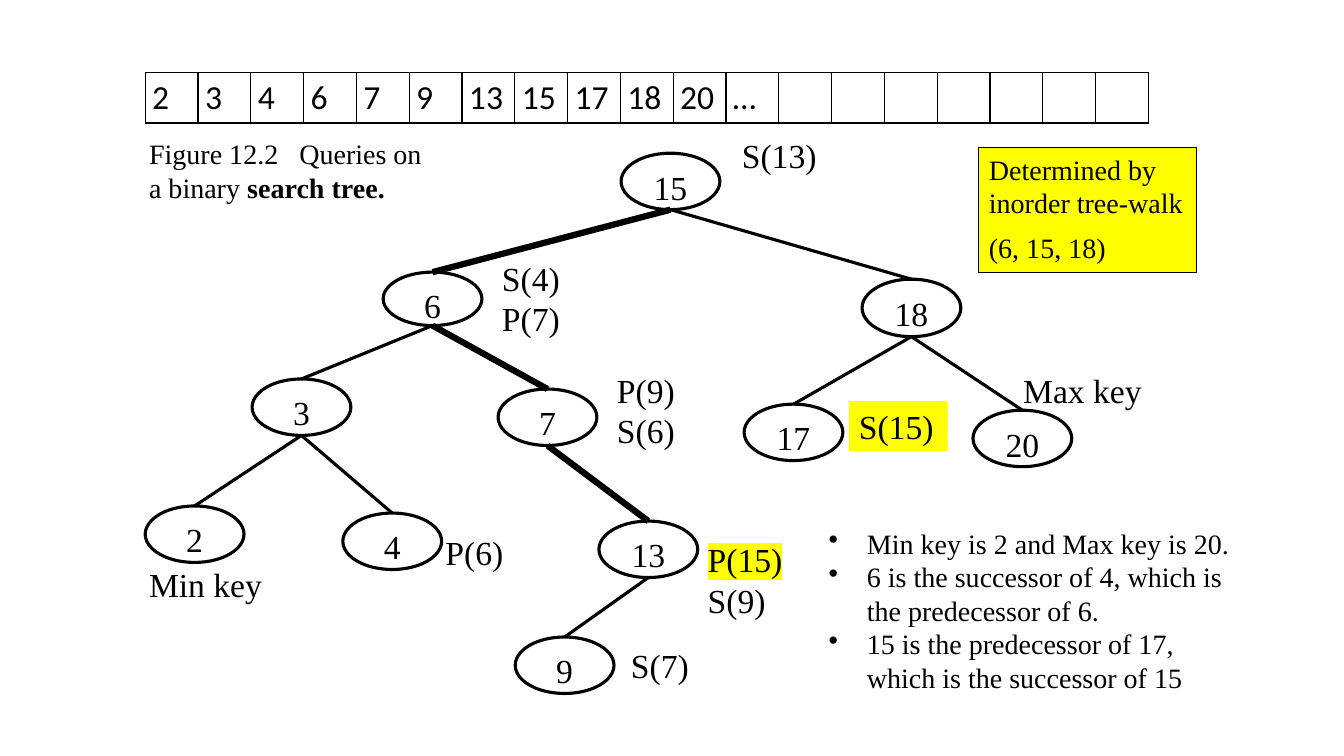
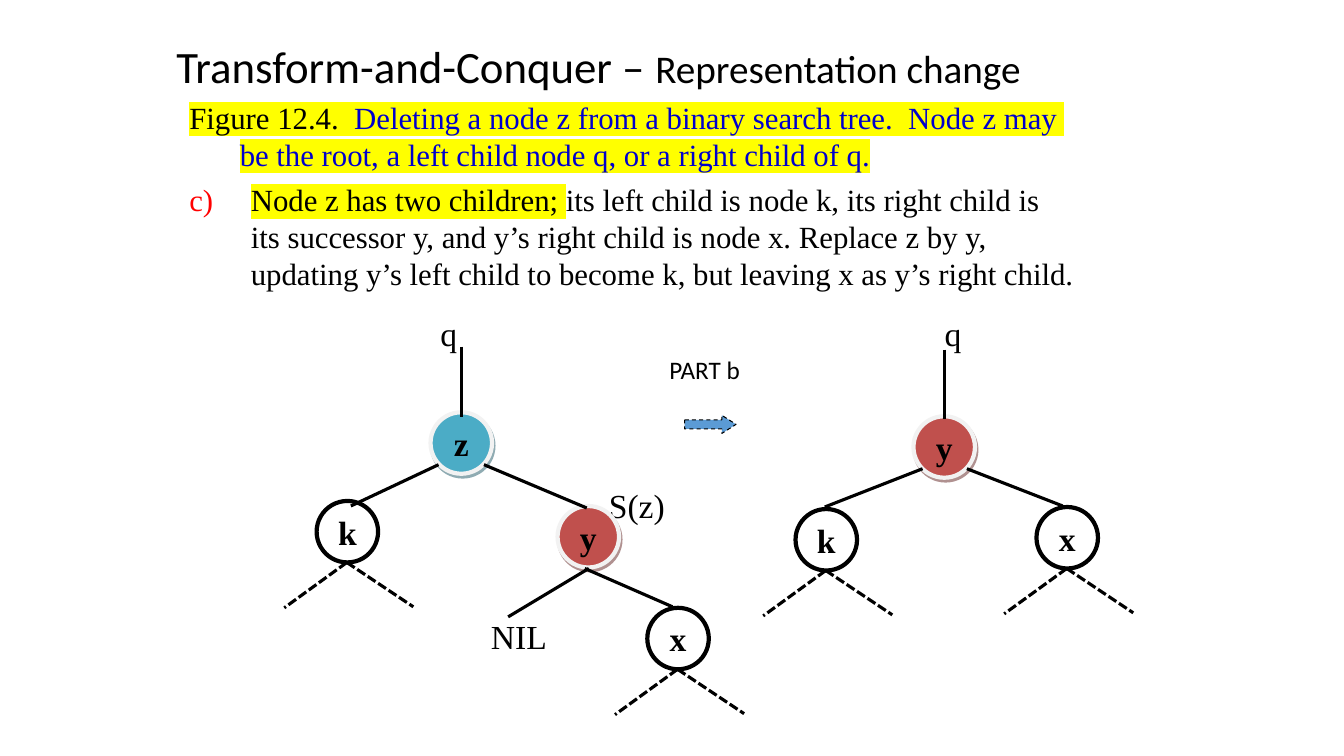
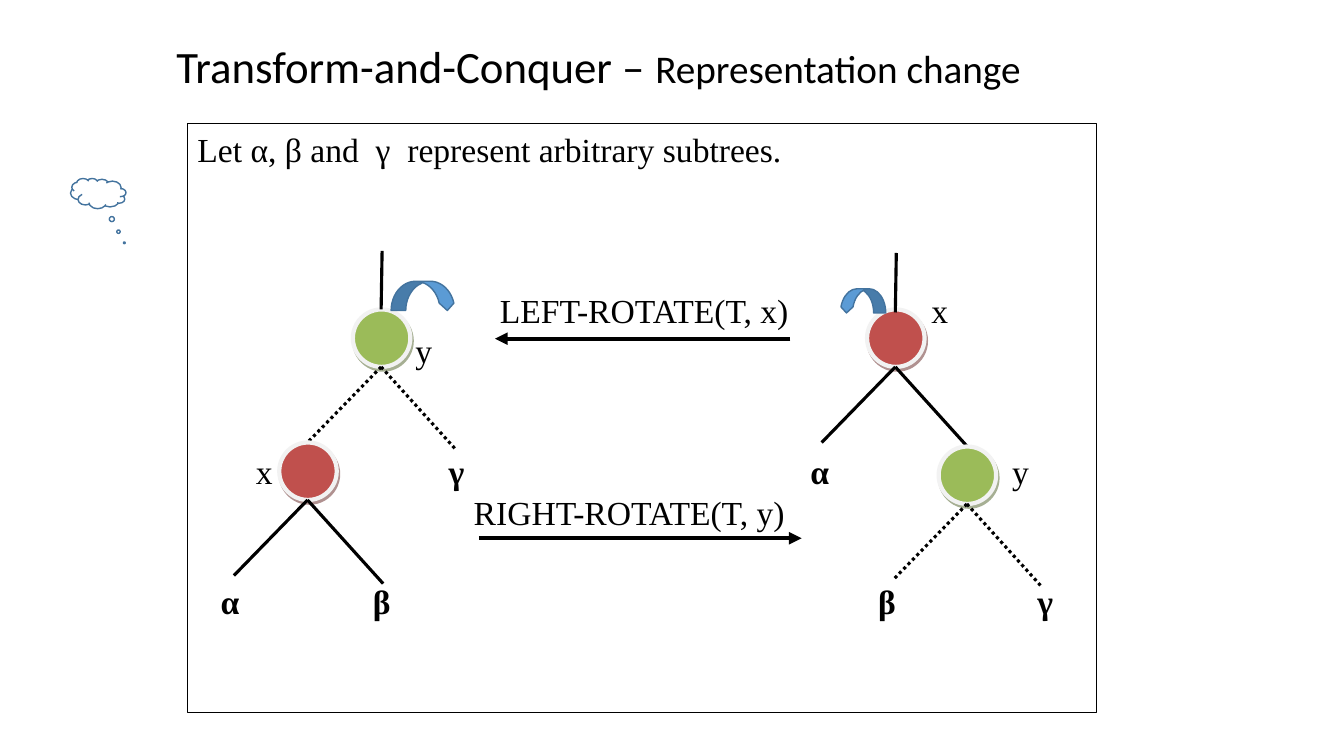
import pptx
import pptx.dml.color
import pptx.enum.dml
import pptx.enum.shapes
import pptx.enum.text
import pptx.oxml
import pptx.oxml.ns
import pptx.util

Inches, Pt = pptx.util.Inches, pptx.util.Pt
SHAPE = pptx.enum.shapes.MSO_SHAPE
ANCHOR = pptx.enum.text.MSO_ANCHOR
ALIGN = pptx.enum.text.PP_ALIGN
DASH = pptx.enum.dml.MSO_LINE

BLACK, WHITE, YELLOW, RED, NAVY = "000000", "FFFFFF", "FFFF00", "FF0000", "0000CC"
PALE, BLUE, BLUE_EDGE = "F2F2F2", "5B9BD5", "43739E"
TEAL_NODE, RED_NODE, GREEN_NODE = "4BACC6", "C0504D", "9BBB59"
SHADOWS = {TEAL_NODE: "205867", RED_NODE: "622423", GREEN_NODE: "4E6128"}
BASE = {"name": "Times New Roman", "size": Pt(24), "bold": False}
TITLE_ONLY, BLANK = 5, 6


def rgb(value):
    """Turn a hex string into a colour."""
    return pptx.dml.color.RGBColor.from_string(value)


def xml(markup):
    """Parse one DrawingML element."""
    head, sep, tail = markup.partition(" " if " " in markup.split(">")[0] else ">")
    space = pptx.oxml.ns.nsdecls("a")
    return pptx.oxml.parse_xml(f"{head} {space}{sep}{tail}")


def write_run(p, text, color=BLACK, highlight=None, **fmt):
    """Add one formatted run to a paragraph."""
    r = p.add_run()
    r.text = text
    for name, value in {**BASE, **fmt}.items():
        setattr(r.font, name, value)
    r.font.color.rgb = rgb(color)
    if highlight:
        fill = r.font._element.find(pptx.oxml.ns.qn("a:solidFill"))
        fill.addnext(xml(f'<a:highlight><a:srgbClr val="{highlight}"/></a:highlight>'))


def write(tf, paras, para_fmt=None, **fmt):
    """Fill a text frame with paragraphs of strings or (text, format) runs."""
    for i, runs in enumerate(paras):
        p = tf.paragraphs[0] if i == 0 else tf.add_paragraph()
        for name, value in (para_fmt or {}).items():
            setattr(p, name, value)
        for run in [runs] if isinstance(runs, str) else runs:
            text, extra = (run, {}) if isinstance(run, str) else run
            for n, line in enumerate(text.split("\n")):
                if n:
                    p.add_line_break()
                write_run(p, line, **{**fmt, **extra})
    return tf


def indent(p, margin, first, child):
    """Set the margin and first line of a paragraph and add a tab list or bullet."""
    pPr = p._p.get_or_add_pPr()
    pPr.set("marL", str(Inches(margin)))
    pPr.set("indent", str(Inches(first)))
    pPr.append(xml(child))


def tab_stop(pos):
    """Describe a list with one left tab stop."""
    return f'<a:tabLst><a:tab pos="{Inches(pos)}" algn="l"/></a:tabLst>'


def textbox(s, x, y, w, h, paras, **fmt):
    """Add a wrapping text box."""
    tf = s.shapes.add_textbox(Inches(x), Inches(y), Inches(w), Inches(h)).text_frame
    tf.word_wrap = True
    return write(tf, paras, **fmt)


def label(s, x, y, *lines, **fmt):
    """Add a short label whose frame fits its longest line."""
    width = 0.4 + 0.22 * max(map(len, lines))
    return textbox(s, x, y, width, 0.12 + 0.38 * len(lines), lines, **fmt)


def shape(s, kind, x, y, w, h, fill=None, line=None, width=1, adj=()):
    """Add a preset shape with a plain fill and outline."""
    sp = s.shapes.add_shape(kind, Inches(x), Inches(y), Inches(w), Inches(h))
    sp.shadow.inherit = False
    for i, value in enumerate(adj):
        sp.adjustments[i] = value
    if fill:
        sp.fill.solid()
        sp.fill.fore_color.rgb = rgb(fill)
    else:
        sp.fill.background()
    if line:
        sp.line.color.rgb = rgb(line)
        sp.line.width = Pt(width)
    else:
        sp.line.fill.background()
    sp.text_frame.vertical_anchor = ANCHOR.TOP
    return sp


def flip(sp, axis):
    """Mirror a shape along the H or V axis."""
    sp.element.spPr.find(pptx.oxml.ns.qn("a:xfrm")).set(f"flip{axis}", "1")


def line(s, x1, y1, x2, y2, width=2.25, dash=None, arrow=False):
    """Draw a straight black line, with an arrowhead at its end if asked."""
    kind = pptx.enum.shapes.MSO_CONNECTOR.STRAIGHT
    c = s.shapes.add_connector(kind, Inches(x1), Inches(y1), Inches(x2), Inches(y2))
    c.line.color.rgb = rgb(BLACK)
    c.line.width = Pt(width)
    if dash:
        c.line.dash_style = dash
    if arrow:
        c.line._get_or_add_ln().append(xml('<a:tailEnd type="triangle"/>'))
    c._element.spPr.append(xml("<a:effectLst></a:effectLst>"))


def fork(s, x, y, left, right, dash=None):
    """Draw two branches going down from a point."""
    for dx, dy in (left, right):
        line(s, x, y, x + dx, y + dy, dash=dash)


def circle(s, x, y, d, fill=None, text=None):
    """Add a round node, raised by a hard shadow if it is coloured."""
    sp = shape(s, SHAPE.OVAL, x, y, d, d, fill or WHITE, PALE if fill else BLACK, 3)
    if fill:
        effects = sp.element.spPr.find(pptx.oxml.ns.qn("a:effectLst"))
        effects.append(xml(
            f'<a:outerShdw blurRad="0" dist="{Pt(2.2)}" dir="{63 * 60000}" algn="ctr" rotWithShape="0">'
            f'<a:srgbClr val="{SHADOWS[fill]}"><a:alpha val="50000"/></a:srgbClr></a:outerShdw>'))
    if text:
        sp.text_frame.vertical_anchor = ANCHOR.MIDDLE
        write(sp.text_frame, [text], {"alignment": ALIGN.CENTER}, bold=True)


def key_table(s, keys, count):
    """Add the one-row array of sorted keys."""
    frame = s.shapes.add_table(1, count, Inches(1.44), Inches(0.72), Inches(9.95), Inches(0.5))
    table = frame.table
    table.first_row = table.horz_banding = False
    for i, cell in enumerate(table.iter_cells()):
        table.columns[i].width = Inches(9.95 / count)
        tcPr = cell._tc.get_or_add_tcPr()
        for side in "LRTB":
            tcPr.append(xml(f'<a:ln{side} w="{Pt(1)}"><a:solidFill><a:srgbClr val="{BLACK}"/>'
                            f'</a:solidFill></a:ln{side}>'))
        cell.fill.solid()
        cell.fill.fore_color.rgb = rgb(WHITE)
        cell.vertical_anchor = ANCHOR.MIDDLE
        cell.margin_left = cell.margin_right = Inches(0.07)
        cell.margin_top = cell.margin_bottom = 0
        if i < len(keys):
            write(cell.text_frame, [keys[i]], name="Calibri")


def titled_slide(prs):
    """Add a slide with the shared title."""
    s = prs.slides.add_slide(prs.slide_layouts[TITLE_ONLY])
    sp = s.shapes.title
    sp.left, sp.top, sp.width, sp.height = map(Inches, (1.65, 0.33, 8.66, 0.64))
    sp.text_frame.vertical_anchor = ANCHOR.TOP
    write(sp.text_frame,
          [["Transform-and-Conquer – ", ("Representation change", {"size": Pt(28)})]],
          {"alignment": ALIGN.LEFT}, name="Calibri", size=Pt(32))
    return s


def queries_slide(prs):
    """Build the slide on queries in a binary search tree."""
    s = prs.slides.add_slide(prs.slide_layouts[BLANK])
    nodes = {15: (6.65, 1.52, 0.56), 6: (4.29, 2.7, 0.53), 18: (9.04, 2.77, 0.57),
             3: (2.99, 3.76, 0.56), 7: (5.43, 3.86, 0.56), 17: (7.87, 4.01, 0.56),
             20: (10.14, 4.07, 0.56), 2: (1.93, 5.02, 0.56), 4: (3.89, 5.09, 0.56),
             13: (6.43, 5.17, 0.56), 9: (5.6, 6.32, 0.56)}
    edges = [(15, 6), (15, 18), (6, 3), (6, 7), (3, 2), (3, 4), (18, 17), (18, 20), (7, 13), (13, 9)]
    search_path = {(15, 6), (6, 7), (7, 13)}
    for key, (cx, top, h) in nodes.items():
        sp = shape(s, SHAPE.OVAL, cx - 0.49, top, 0.98, h, WHITE, BLACK, 2.25)
        write(sp.text_frame, [str(key)], {"alignment": ALIGN.CENTER})
    for parent, child in edges:
        x, top, h = nodes[parent]
        line(s, x, top + h, *nodes[child][:2], width=4.5 if (parent, child) in search_path else 2.25)

    shape(s, SHAPE.RECTANGLE, 8.42, 3.98, 0.98, 0.5, YELLOW)
    for x, y, *lines in [(7.26, 1.29, "S(13)"), (4.88, 2.51, "S(4)", "P(7)"),
                         (6.02, 3.62, "P(9)", "S(6)"), (8.42, 3.98, "S(15)"),
                         (6.16, 6.35, "S(7)"), (4.32, 5.23, "P(6)"),
                         (10.05, 3.62, "Max key"), (1.38, 5.55, "Min key")]:
        label(s, x, y, *lines)
    textbox(s, 6.92, 5.3, 1.01, 0.91, [[("P(15)", {"highlight": YELLOW})], "S(9)"])

    key_table(s, "2 3 4 6 7 9 13 15 17 18 20 …".split(), 19)
    tf = textbox(s, 8.12, 5.17, 4.26, 1.78,
                 ["Min key is 2 and Max key is 20.",
                  "6 is the successor of 4, which is the predecessor of 6.",
                  "15 is the predecessor of 17, which is the successor of 15"], size=Pt(20))
    for p in tf.paragraphs:
        indent(p, 0.38, -0.38, '<a:buChar char="•"/>')
    textbox(s, 1.38, 1.31, 3.12, 0.77,
            ["Figure 12.2   Queries on", ["a binary ", ("search tree.", {"bold": True})]], size=Pt(20))
    sp = shape(s, SHAPE.RECTANGLE, 9.71, 1.46, 2.16, 1.24, YELLOW, BLACK, 0.75)
    write(sp.text_frame, ["Determined by inorder tree-walk", "(6, 15, 18)"],
          {"alignment": ALIGN.LEFT, "space_after": Pt(8)}, size=Pt(20))


def deletion_slide(prs):
    """Build the slide on deleting a node with two children."""
    s = titled_slide(prs)
    mark = {"highlight": YELLOW}
    blue_mark = {"color": NAVY, **mark}
    tf = textbox(s, 1.78, 0.93, 10.17, 2.05, [
        [("Figure 12.4.  ", mark),
         ("Deleting a node z from a binary search tree.  Node z may ", blue_mark)],
        [("\tbe the root, a left child node q, or a right child of q.", blue_mark)],
        [("c)\t", {"color": RED}), ("Node z has two children; ", mark),
         "its left child is node k, its right child is\n"
         "its successor y, and y’s right child is node x. Replace z by y,\n"
         "updating y’s left child to become k, but leaving x as y’s right child."],
    ], size=Pt(22))
    tf.paragraphs[1].space_after = Pt(6)
    indent(tf.paragraphs[1], 0, 0, tab_stop(1.68))
    indent(tf.paragraphs[2], 0.61, -0.61, tab_stop(0.61))

    for x, y, text in [(4.27, 3.06, "q"), (9.27, 3.06, "q"), (5.94, 4.76, "S(z)"), (4.77, 6.06, "NIL")]:
        label(s, x, y, text)
    label(s, 6.54, 3.47, "PART b", name="Calibri", size=Pt(18))

    for x, y, fill, text in [(4.27, 4.09, TEAL_NODE, "z"), (5.53, 5.02, RED_NODE, "y"),
                             (9.06, 4.13, RED_NODE, "y")]:
        circle(s, x, y, 0.61, fill, text)
    for x, y, text in [(3.14, 4.97, "k"), (6.42, 6.03, "x"), (7.89, 5.05, "k"), (10.28, 5.03, "x")]:
        fork(s, x + 0.3, y + 0.61, (-0.62, 0.45), (0.66, 0.44), DASH.SQUARE_DOT)
        circle(s, x, y, 0.61, text=text)
    for ends in [(4.58, 3.44, 4.58, 4.14), (4.35, 4.61, 3.48, 5.02), (4.8, 4.61, 5.82, 5.04),
                 (5.84, 5.64, 5.04, 6.12), (5.8, 5.64, 6.67, 6.02),
                 (9.37, 3.47, 9.37, 4.16), (9.15, 4.65, 8.18, 5.03), (9.59, 4.65, 10.54, 5.02)]:
        line(s, *ends)
    sp = shape(s, SHAPE.RIGHT_ARROW, 6.79, 4.12, 0.51, 0.18, BLUE, BLACK, 0.75, (0.5, 0.78))
    sp.line.dash_style = DASH.DASH


def rotation_slide(prs):
    """Build the slide on left and right rotation."""
    s = titled_slide(prs)
    sp = shape(s, SHAPE.RECTANGLE, 1.86, 1.23, 9.02, 5.84, None, BLACK, 0.75)
    write(sp.text_frame, ["Let α, β and  γ  represent arbitrary subtrees."], {"alignment": ALIGN.LEFT})

    for x, y, text in [(4.86, 2.83, "LEFT-ROTATE(T, x)"), (4.6, 4.83, "RIGHT-ROTATE(T, y)"),
                       (9.14, 2.83, "x"), (4.02, 3.22, "y"), (2.44, 4.42, "x"), (9.94, 4.42, "y")]:
        label(s, x, y, text)
    for x, y, text in [(4.35, 4.42, "γ"), (7.94, 4.42, "α"), (2.09, 5.71, "α"),
                       (3.6, 5.71, "β"), (8.61, 5.71, "β"), (10.19, 5.71, "γ")]:
        label(s, x, y, text, bold=True)

    for x, y, fill, dash in [(3.5, 3.07, GREEN_NODE, DASH.ROUND_DOT), (2.77, 4.39, RED_NODE, None),
                             (8.6, 3.07, RED_NODE, None), (9.31, 4.43, GREEN_NODE, DASH.ROUND_DOT)]:
        circle(s, x, y, 0.57, fill)
        fork(s, x + 0.28, y + 0.57, (-0.73, 0.75), (0.75, 0.83), dash)
    line(s, 3.79, 2.49, 3.78, 3.07)
    line(s, 8.89, 2.51, 8.88, 3.1)
    line(s, 7.84, 3.36, 4.91, 3.36, width=3, arrow=True)
    line(s, 4.75, 5.34, 7.95, 5.34, width=3, arrow=True)

    turns = [shape(s, SHAPE.CURVED_RIGHT_ARROW, *at, BLUE, BLUE_EDGE, 1, (0.5, 0.5, 0.25))
             for at in [(8.44, 2.76, 0.24, 0.45), (4.05, 2.62, 0.29, 0.63)]]
    for sp in turns:
        sp.rotation = 90
    flip(turns[1], "V")
    cloud = shape(s, SHAPE.CLOUD_CALLOUT, 0.7, 1.77, 0.55, 0.3, WHITE, BLUE_EDGE, 1, (-0.47, 1.63))
    flip(cloud, "H")


def main():
    """Build and save the presentation."""
    prs = pptx.Presentation()
    prs.slide_width, prs.slide_height = Inches(13.33), Inches(7.5)
    queries_slide(prs)
    deletion_slide(prs)
    rotation_slide(prs)
    prs.save("out.pptx")


if __name__ == "__main__":
    main()
